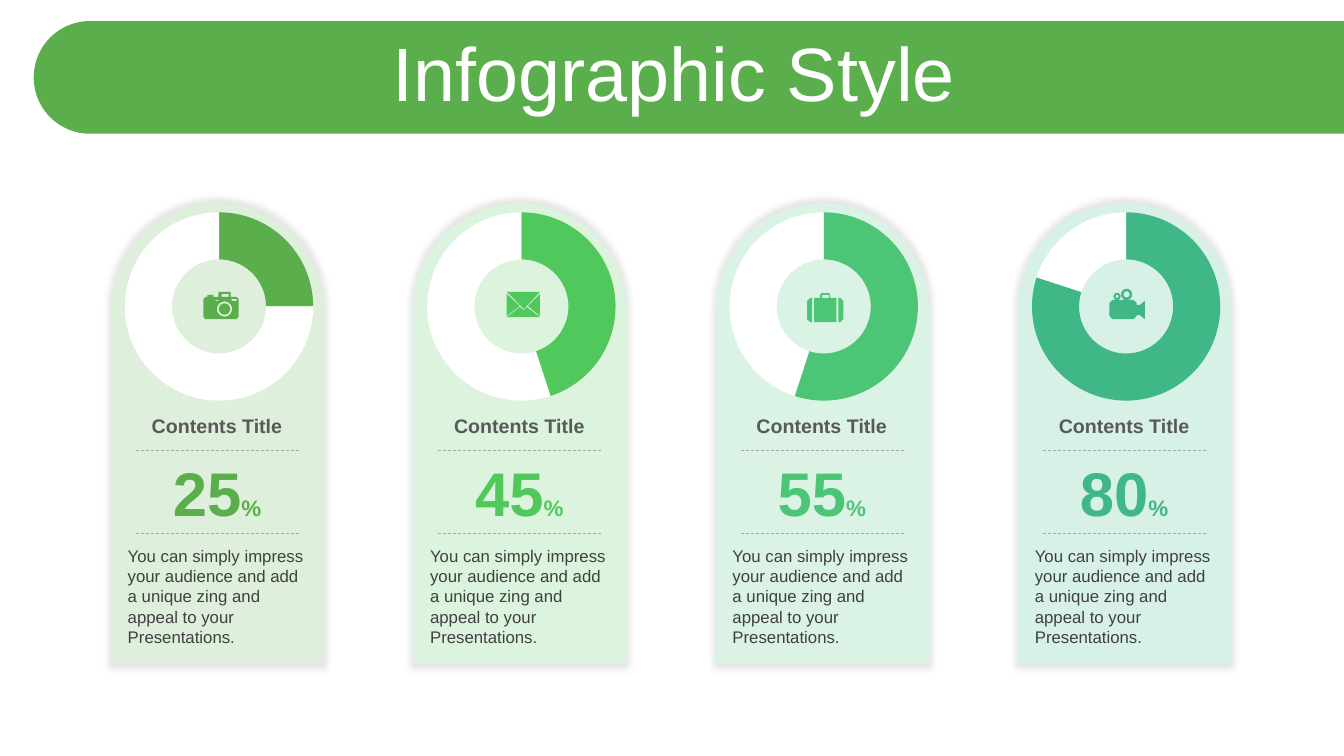
from math import cos, pi, sin

from lxml import etree
from pptx import Presentation
from pptx.chart.data import CategoryChartData
from pptx.dml.color import RGBColor
from pptx.enum.chart import XL_CHART_TYPE as ChartType
from pptx.enum.dml import MSO_LINE as Dash
from pptx.enum.shapes import MSO_CONNECTOR as Connector, MSO_SHAPE as Preset
from pptx.enum.text import MSO_ANCHOR as Anchor, MSO_AUTO_SIZE as AutoSize, PP_ALIGN as Align
from pptx.oxml import parse_xml
from pptx.oxml.ns import nsdecls, qn
from pptx.util import Cm, Pt

FONT = "Arial"
COLORS = {
    "banner": "5AAE4C", "white": "FFFFFF", "black": "000000",
    "heading": "595959", "body": "404040", "rule": "A6A6A6",
    "leaf": "5AAE4C", "leaf_tint": "DEEFDB",
    "lime": "50C85B", "lime_tint": "DCF4DE",
    "mint": "4CC576", "mint_tint": "DBF3E4",
    "teal": "40B786", "teal_tint": "D8F1E7",
}
DESCRIPTION = ("You can simply impress your audience and add a unique zing "
               "and appeal to your Presentations.")
CARD_LEFT, CARD_TOP, CARD_PITCH = Cm(2.79), Cm(5.12), Cm(7.62)
CARD_WIDTH, CARD_HEIGHT = Cm(5.38), Cm(11.6)
ICON_UNIT = Cm(2.54) / 100


def rectangle(left, top, right, bottom):
    return [(left, top), (right, top), (right, bottom), (left, bottom)]


def circle(x, y, radius, steps=40):
    angles = [2 * pi * step / steps for step in range(steps)]
    return [(x + radius * cos(a), y + radius * sin(a)) for a in angles]


# Each icon is a list of contours; a contour inside another one is a hole.
CAMERA = [
    [(1, 10), (3, 8), (5, 8), (5, 6), (11, 6), (11, 8), (16, 8), (16, 3), (28, 3),
     (28, 8), (34, 8), (36, 10), (36, 28), (34, 30), (3, 30), (1, 28)],
    rectangle(19, 5, 26, 8), rectangle(13, 11, 16, 12), rectangle(29, 10, 34, 12),
    circle(22, 20, 7.5), circle(22, 20, 5.5),
]
ENVELOPE = [
    [(22, 18), (35, 28), (2, 28), (15, 18), (19, 21)],
    [(35, 5), (35, 27), (23, 17)],
    [(2, 5), (15, 17), (2, 27)],
    [(2, 3), (35, 3), (19, 20)],
]
SUITCASE = [
    [(31, 9), (33, 9), (36, 12), (36, 30), (33, 33), (31, 33)],
    [(3, 9), (5, 9), (5, 33), (3, 33), (0, 30), (0, 12)],
    [(13, 9), (13, 6), (14, 4), (22, 4), (23, 6), (23, 9), (29, 9), (29, 33),
     (7, 33), (7, 9)],
    rectangle(15, 6, 22, 9),
]
VIDEO_CAMERA = [
    [(0, 14), (3, 11), (24, 11), (27, 14), (27, 16), (30, 16), (35, 12), (35, 30),
     (30, 26), (27, 26), (27, 27), (24, 30), (3, 30), (0, 27)],
    circle(7.5, 7.5, 3.5), circle(7.5, 7.5, 1.5),
    circle(17, 5.5, 5.5), circle(17, 5.5, 3),
]
CARDS = [(25, "leaf", CAMERA), (45, "lime", ENVELOPE),
         (55, "mint", SUITCASE), (80, "teal", VIDEO_CAMERA)]


def rgb(name):
    return RGBColor.from_string(COLORS[name])


def paint(shape, color):
    shape.shadow.inherit = False
    shape.fill.solid()
    shape.fill.fore_color.rgb = rgb(color)
    shape.line.fill.background()


def add_text(slide, box, runs, align=Align.CENTER, side_inset=Cm(0.25)):
    """Add a one-paragraph text box from (text, size, color, bold) runs."""
    textbox = slide.shapes.add_textbox(*box)
    frame = textbox.text_frame
    frame.word_wrap = True
    frame.auto_size = AutoSize.SHAPE_TO_FIT_TEXT
    frame.margin_left = frame.margin_right = side_inset
    paragraph = frame.paragraphs[0]
    paragraph.alignment = align
    for text, size, color, bold in runs:
        run = paragraph.add_run()
        run.text = text
        run.font.name, run.font.size, run.font.bold = FONT, Pt(size), bold
        run.font.color.rgb = rgb(color)
    return frame


def add_banner(slide, left, top, width, height):
    """Place a bar rounded at its left end, with the slide title on it."""
    bar = slide.shapes.add_shape(
        Preset.ROUND_2_SAME_RECTANGLE, left + (width - height) // 2,
        top - (width - height) // 2, height, width)
    bar.rotation = 270
    bar.adjustments[0], bar.adjustments[1] = 0.5, 0
    paint(bar, "banner")
    title_box = (left + Cm(0.05), top + Cm(0.41), Cm(32.16), Cm(2.01))
    frame = add_text(slide, title_box, [("Infographic Style", 54, "white", False)])
    frame.auto_size = AutoSize.NONE
    frame.vertical_anchor = Anchor.MIDDLE
    frame.paragraphs[0].line_spacing = 0.9


def add_rule(slide, left, right, y):
    rule = slide.shapes.add_connector(Connector.STRAIGHT, left, y, right, y)
    rule.line.color.rgb = rgb("rule")
    rule.line.width = Pt(0.5)
    rule.line.dash_style = Dash.DASH
    etree.SubElement(rule.element.spPr, qn("a:effectLst"))


def add_doughnut(slide, box, percent, color):
    data = CategoryChartData()
    data.categories = ["1", "2"]
    data.add_series("Series 1", (percent, 100 - percent))
    chart = slide.shapes.add_chart(ChartType.DOUGHNUT, *box, data).chart
    chart.has_legend = chart.has_title = False
    chart.font.name, chart.font.size = FONT, Pt(18)
    chart.font.color.rgb = rgb("black")
    plot = chart.plots[0]
    plot.vary_by_categories = True
    for index, slice_color in enumerate((color, "white")):
        part = plot.series[0].points[index].format
        part.fill.solid()
        part.fill.fore_color.rgb = rgb(slice_color)
        part.line.fill.background()
    next(chart.element.iter(qn("c:holeSize"))).set("val", "55")
    plot_area = next(chart.element.iter(qn("c:plotArea")))
    for layout in plot_area.findall(qn("c:layout")):
        plot_area.remove(layout)
    plot_area.insert(0, parse_xml(
        f'<c:layout {nsdecls("c")}><c:manualLayout><c:layoutTarget val="inner"/>'
        '<c:xMode val="edge"/><c:yMode val="edge"/><c:x val="0.04"/><c:y val="0.03"/>'
        '<c:w val="0.98"/><c:h val="0.94"/></c:manualLayout></c:layout>'))


def add_icon(slide, left, top, contours, color):
    outlines = [[(x * ICON_UNIT, y * ICON_UNIT) for x, y in c] for c in contours]
    builder = slide.shapes.build_freeform(*outlines[0][0])
    builder.add_line_segments(outlines[0][1:])
    for outline in outlines[1:]:
        builder.move_to(*outline[0])
        builder.add_line_segments(outline[1:])
    paint(builder.convert_to_shape(left, top), color)


def add_card(slide, left, top, width, height, percent, color, icon):
    panel = slide.shapes.add_shape(
        Preset.ROUND_2_SAME_RECTANGLE, left, top, width, height)
    panel.adjustments[0], panel.adjustments[1] = 0.5, 0
    paint(panel, f"{color}_tint")
    panel.element.spPr.find(qn("a:effectLst")).append(parse_xml(
        f'<a:outerShdw {nsdecls("a")} blurRad="{Pt(5)}" sx="102000" sy="102000" '
        f'algn="ctr" rotWithShape="0"><a:srgbClr val="{COLORS["black"]}">'
        '<a:alpha val="11000"/></a:srgbClr></a:outerShdw>'))

    text_left, text_width = left + Cm(0.48), Cm(4.4)
    add_text(slide, (text_left, top + Cm(5.19), text_width, Cm(0.86)),
             [("Contents Title", 14, "heading", True)])
    add_text(slide, (text_left, top + Cm(6.22), text_width, Cm(2.13)),
             [(str(percent), 44, color, True), ("%", 16, color, True)])
    for rule_offset in (Cm(6.22), Cm(8.31)):
        add_rule(slide, left + Cm(0.64), left + Cm(4.75), top + rule_offset)
    add_text(slide, (left + Cm(0.13), top + Cm(8.51), Cm(5.16), Cm(2.82)),
             [(DESCRIPTION, 12, "body", False)], Align.LEFT, Cm(0.3))
    add_doughnut(slide, (left + Cm(0.13), top + Cm(0.08), Cm(5.1), Cm(5.05)),
                 percent, color)
    add_icon(slide, left + Cm(2.31), top + Cm(2.16), icon, color)


def main():
    deck = Presentation()
    deck.slide_width, deck.slide_height = Cm(33.87), Cm(19.05)
    slide = deck.slides.add_slide(deck.slide_layouts[6])
    add_banner(slide, Cm(0.85), Cm(0.53), Cm(33.02), Cm(2.84))
    for column, card in enumerate(CARDS):
        add_card(slide, CARD_LEFT + column * CARD_PITCH, CARD_TOP,
                 CARD_WIDTH, CARD_HEIGHT, *card)
    deck.save("out.pptx")


if __name__ == "__main__":
    main()
